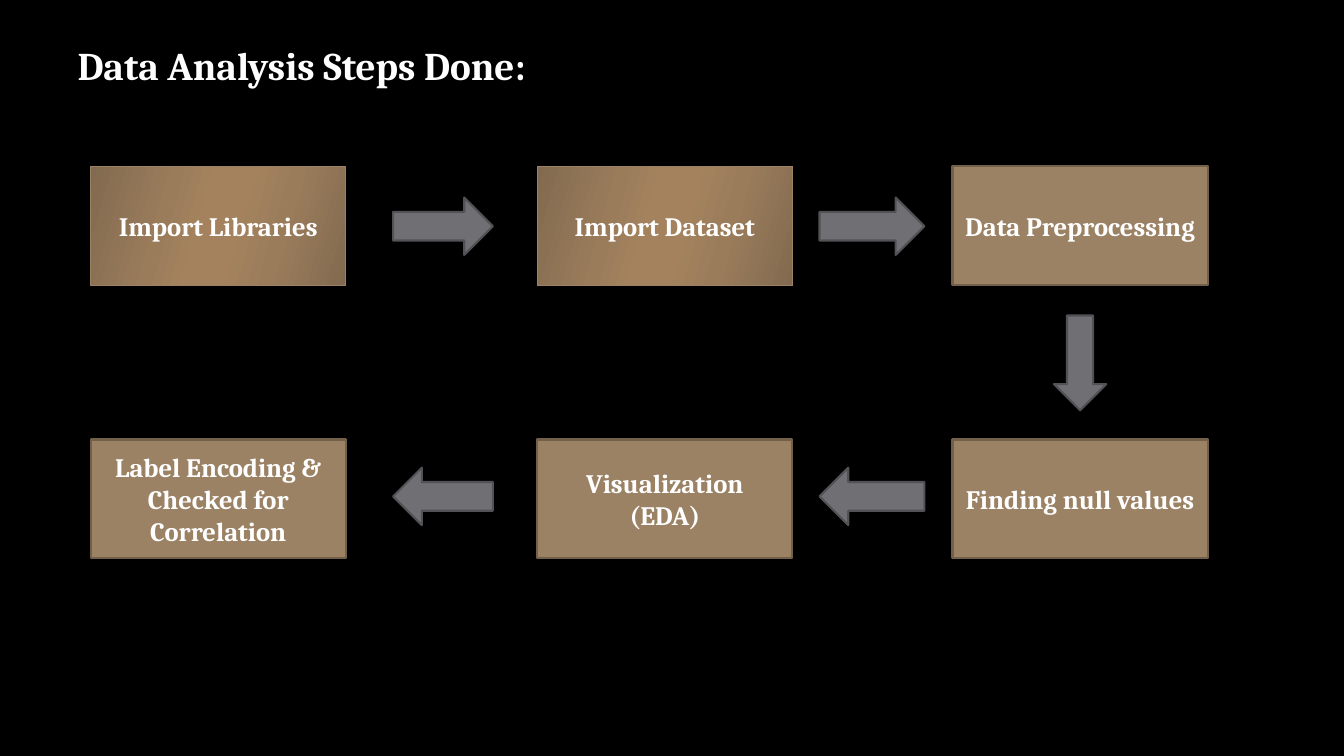
"""Build a slide with a six-step data analysis flow."""
import lxml.etree
import pptx
import pptx.dml.color
import pptx.enum.shapes
import pptx.enum.text
import pptx.oxml.ns
import pptx.util

Pt = pptx.util.Pt
SHAPES = pptx.enum.shapes.MSO_SHAPE
ANCHOR = pptx.enum.text.MSO_ANCHOR
ALIGN = pptx.enum.text.PP_ALIGN

TITLE = "Data Analysis Steps Done:"
STEPS = [
    ("Import Libraries", 0, 0, "gradient"),
    ("Import Dataset", 1, 0, "gradient"),
    ("Data Preprocessing", 2, 0, "solid"),
    ("Finding null values", 2, 1, "solid"),
    ("Visualization\n(EDA)", 1, 1, "solid"),
    ("Label Encoding & Checked for Correlation", 0, 1, "solid"),
]
GRADIENT = [(0, "826A50"), (30, "9A7C5B"), (45, "A4825D"),
            (55, "A4825D"), (73, "9A7C5B"), (100, "826A50")]
FONT = "Cambria"
WHITE, BLACK = "FFFFFF", "000000"
TAN, BROWN = "9C8265", "73604B"
GREY, DARK_GREY = "6F6F74", "525256"

COLUMNS = [64.8, 383.8, 680.4]
ROWS = [118.8, 313.9]
BOX_WIDTH, BOX_HEIGHT = 182.2, 85
GAP_ARROWS = [(280.8, 71.3), (585.4, 74.9)]
ROW_ARROWS = [(SHAPES.RIGHT_ARROW, 141.1), (SHAPES.LEFT_ARROW, 334.1)]
ARROW_HEIGHT = 41
DOWN_TOP, DOWN_WIDTH, DOWN_HEIGHT = 225.4, 37.4, 67.7


def color(value):
    return pptx.dml.color.RGBColor.from_string(value)


def format_text(frame, size, alignment):
    frame.word_wrap = True
    for paragraph in frame.paragraphs:
        paragraph.alignment = alignment
        paragraph.font.name = FONT
        paragraph.font.size = Pt(size)
        paragraph.font.bold = True
        paragraph.font.color.rgb = color(WHITE)


def add_shape(slide, kind, bounds, fill, line, line_width):
    shape = slide.shapes.add_shape(kind, *map(Pt, bounds))
    shape.shadow.inherit = False
    shape.fill.solid()
    shape.fill.fore_color.rgb = color(fill)
    shape.line.color.rgb = color(line)
    shape.line.width = Pt(line_width)
    return shape


def apply_gradient(shape):
    qn = pptx.oxml.ns.qn
    shape.fill.gradient()
    shape.fill.gradient_angle = 344
    stops = shape.element.spPr.find(".//" + qn("a:gsLst"))
    for stop in list(stops):
        stops.remove(stop)
    for position, value in GRADIENT:
        stop = lxml.etree.SubElement(stops, qn("a:gs"), pos=str(position * 1000))
        lxml.etree.SubElement(stop, qn("a:srgbClr"), val=value)


def add_step(slide, text, column, row, style):
    bounds = COLUMNS[column], ROWS[row], BOX_WIDTH, BOX_HEIGHT
    line, width = (TAN, 0.75) if style == "gradient" else (BROWN, 1.5)
    box = add_shape(slide, SHAPES.RECTANGLE, bounds, TAN, line, width)
    if style == "gradient":
        apply_gradient(box)
    box.text_frame.text = text
    box.text_frame.vertical_anchor = ANCHOR.MIDDLE
    format_text(box.text_frame, 19, ALIGN.CENTER)


def add_arrow(slide, kind, bounds):
    add_shape(slide, kind, bounds, GREY, DARK_GREY, 1.5)


def main():
    presentation = pptx.Presentation()
    presentation.slide_width, presentation.slide_height = Pt(960), Pt(540)
    slide = presentation.slides.add_slide(presentation.slide_layouts[5])
    slide.background.fill.solid()
    slide.background.fill.fore_color.rgb = color(BLACK)

    title = slide.shapes.title
    title.left, title.top, title.width, title.height = map(Pt, (48.2, 25.9, 504.7, 41))
    title.text_frame.text = TITLE
    title.text_frame.vertical_anchor = ANCHOR.TOP
    title.text_frame.auto_size = pptx.enum.text.MSO_AUTO_SIZE.SHAPE_TO_FIT_TEXT
    format_text(title.text_frame, 28, ALIGN.LEFT)

    for step in STEPS:
        add_step(slide, *step)
    for kind, top in ROW_ARROWS:
        for left, width in GAP_ARROWS:
            add_arrow(slide, kind, (left, top, width, ARROW_HEIGHT))
    down_left = COLUMNS[2] + (BOX_WIDTH - DOWN_WIDTH) / 2
    add_arrow(slide, SHAPES.DOWN_ARROW, (down_left, DOWN_TOP, DOWN_WIDTH, DOWN_HEIGHT))

    presentation.save("out.pptx")


if __name__ == "__main__":
    main()
